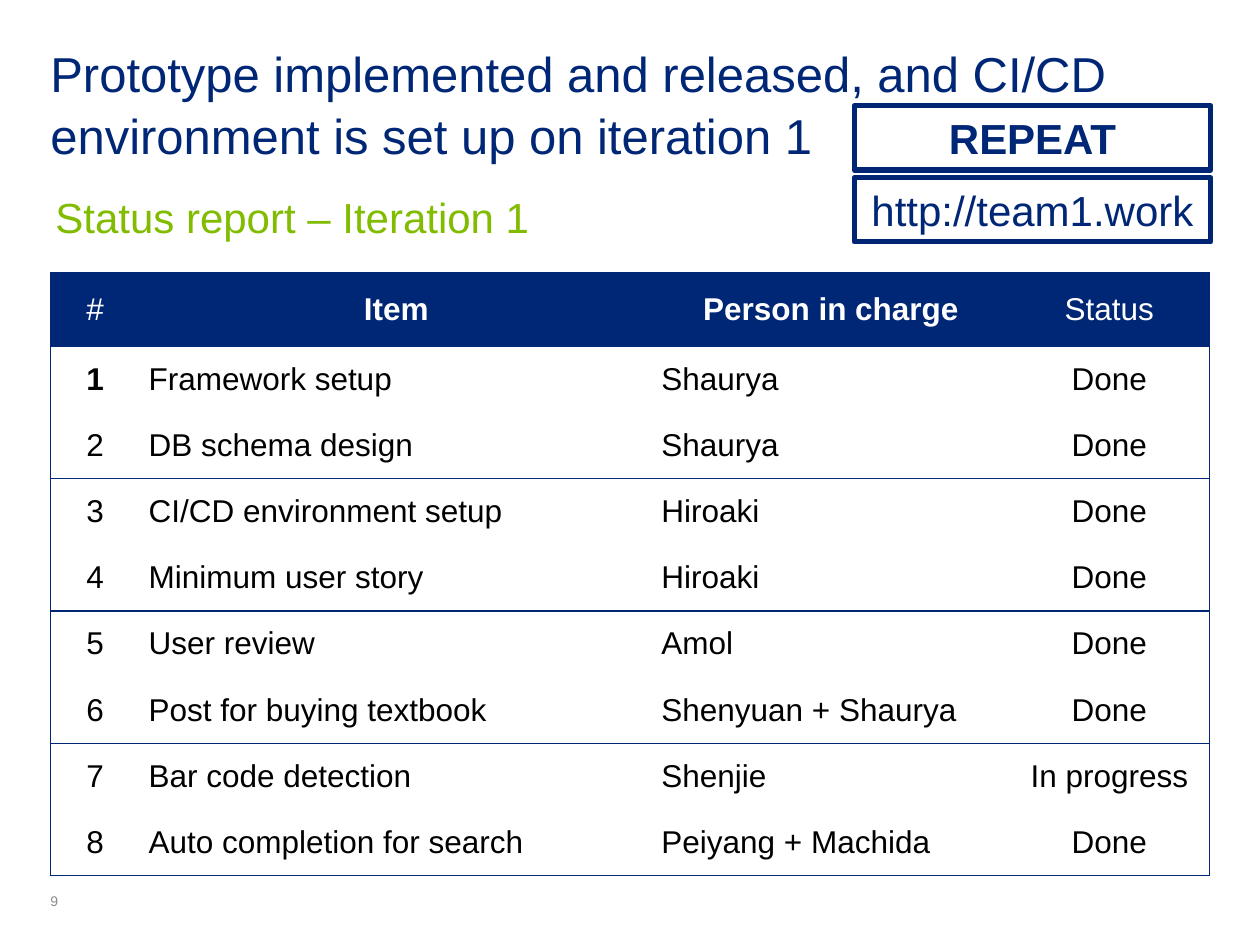
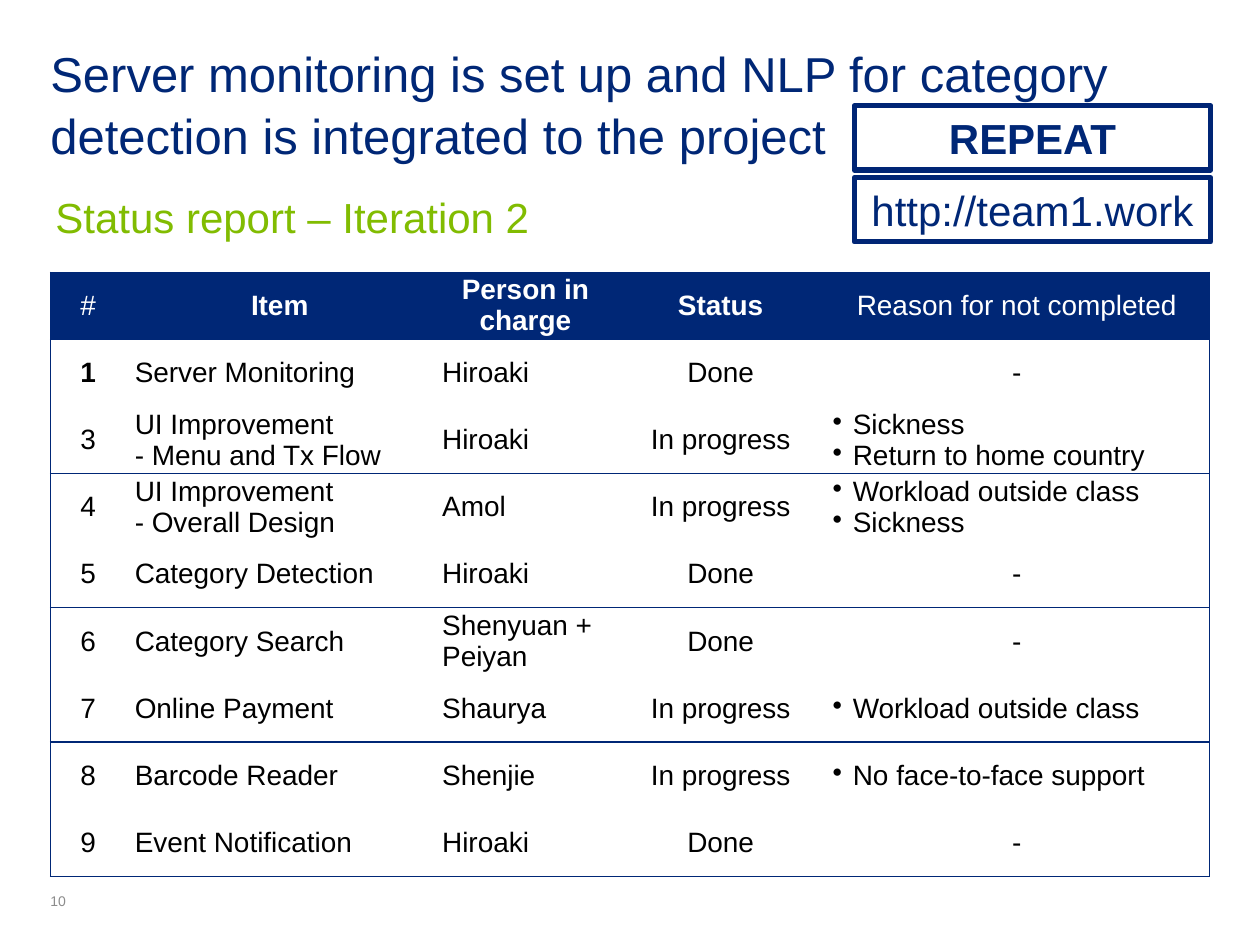
"""Build two iteration status report slides, each with a bordered task table."""
from lxml.etree import SubElement
from pptx import Presentation
from pptx.dml.color import RGBColor
from pptx.enum.shapes import MSO_SHAPE as SHAPE
from pptx.enum.text import MSO_ANCHOR as ANCHOR, PP_ALIGN as ALIGN
from pptx.oxml.ns import qn
from pptx.util import Inches, Pt

NAVY = RGBColor(0x00, 0x27, 0x76)
FRAME = RGBColor(0x00, 0x25, 0x75)
GREEN = RGBColor(0x81, 0xBC, 0x01)
GREY = RGBColor(0x8C, 0x8C, 0x8C)
WHITE = RGBColor(0xFF, 0xFF, 0xFF)
BLACK = RGBColor(0x00, 0x00, 0x00)
NO_GRID_STYLE = "{2D5ABB26-0587-4C30-8999-92F81FD0307C}"
LEFT, TABLE_TOP, WIDTH = 0.4, 2.16, 9.2
CENTRED = {"#", "Status", "Reason for not completed"}

REPORTS = [
    {
        "number": "9",
        "title": "Prototype implemented and released, and CI/CD environment is set up on iteration 1",
        "subtitle": "Status report – Iteration 1",
        "size": 18,
        "columns": [0.71, 4.07, 2.83, 1.59],
        "heights": [0.59] + [0.525] * 8,
        "rows": [
            ("#", "Item", "Person in charge", "Status"),
            ("1", "Framework setup", "Shaurya", "Done"),
            ("2", "DB schema design", "Shaurya", "Done"),
            ("3", "CI/CD environment setup", "Hiroaki", "Done"),
            ("4", "Minimum user story", "Hiroaki", "Done"),
            ("5", "User review", "Amol", "Done"),
            ("6", "Post for buying textbook", "Shenyuan + Shaurya", "Done"),
            ("7", "Bar code detection", "Shenjie", "In progress"),
            ("8", "Auto completion for search", "Peiyang + Machida", "Done"),
        ],
    },
    {
        "number": "10",
        "title": "Server monitoring is set up and NLP for category detection is integrated to the project",
        "subtitle": "Status report – Iteration 2",
        "size": 16,
        "columns": [0.6, 2.44, 1.46, 1.64, 3.06],
        "heights": [4.79 / 9] * 9,
        "rows": [
            ("#", "Item", "Person in charge", "Status", "Reason for not completed"),
            ("1", "Server Monitoring", "Hiroaki", "Done", "-"),
            ("3", "UI Improvement\n- Menu and Tx Flow", "Hiroaki", "In progress",
             "Sickness\nReturn to home country"),
            ("4", "UI Improvement\n- Overall Design", "Amol", "In progress",
             "Workload outside class\nSickness"),
            ("5", "Category Detection", "Hiroaki", "Done", "-"),
            ("6", "Category Search", "Shenyuan + Peiyan", "Done", "-"),
            ("7", "Online Payment", "Shaurya", "In progress", "Workload outside class"),
            ("8", "Barcode Reader", "Shenjie", "In progress", "No face-to-face support"),
            ("9", "Event Notification", "Hiroaki", "Done", "-"),
        ],
    },
]


def write(frame, text, size, color, bold=False, align=ALIGN.LEFT, anchor=ANCHOR.TOP):
    """Fill a text frame with evenly formatted paragraphs and no margins."""
    frame.text = text
    frame.word_wrap = True
    frame.vertical_anchor = anchor
    frame.margin_left = frame.margin_right = frame.margin_top = frame.margin_bottom = 0
    for para in frame.paragraphs:
        para.alignment = align
        para.font.name, para.font.size, para.font.bold = "Arial", Pt(size), bold
        para.font.color.rgb = color


def add_borders(cell, sides):
    """Draw thin navy lines on the given sides of a table cell."""
    properties = cell._tc.get_or_add_tcPr()
    for position, side in enumerate(sides):
        line = SubElement(properties, qn(f"a:ln{side}"), w=str(Pt(0.75)))
        fill = SubElement(line, qn("a:solidFill"))
        SubElement(fill, qn("a:srgbClr"), val=str(NAVY))
        properties.insert(position, line)


deck = Presentation()
deck.slide_width, deck.slide_height = Inches(10), Inches(7.5)

for report in REPORTS:
    page = deck.slides.add_slide(deck.slide_layouts[5])

    title = page.shapes.title
    title.left, title.top = Inches(LEFT), Inches(0.32)
    title.width, title.height = Inches(WIDTH), Inches(0.51)
    write(title.text_frame, report["title"], 28, NAVY)
    title.text_frame.paragraphs[0].line_spacing = 1.05

    subtitle = page.shapes.add_textbox(Inches(0.44), Inches(1.5), Inches(9), Inches(0.35))
    write(subtitle.text_frame, report["subtitle"], 24, GREEN)
    subtitle.text_frame.paragraphs[0].line_spacing = 1.05

    number = page.shapes.add_textbox(Inches(LEFT), Inches(7.09), Inches(0.5), Inches(0.13))
    write(number.text_frame, report["number"], 8, GREY, anchor=ANCHOR.BOTTOM)

    for text, top, bold in (("http://team1.work", 1.41, False), ("REPEAT", 0.84, True)):
        box = page.shapes.add_shape(SHAPE.RECTANGLE, Inches(6.78), Inches(top),
                                    Inches(2.83), Inches(0.51))
        box.shadow.inherit = False
        box.fill.background()
        box.line.color.rgb, box.line.width = FRAME, Pt(3)
        write(box.text_frame, text, 24, NAVY, bold, ALIGN.CENTER, ANCHOR.MIDDLE)

    rows, widths, heights = report["rows"], report["columns"], report["heights"]
    graphic = page.shapes.add_table(len(rows), len(widths), Inches(LEFT), Inches(TABLE_TOP),
                                    Inches(WIDTH), Inches(sum(heights)))
    table = graphic.table
    table.horz_banding = False
    table._tbl.tblPr.find(qn("a:tableStyleId")).text = NO_GRID_STYLE
    for column, width in zip(table.columns, widths):
        column.width = Inches(width)

    last = len(widths) - 1
    for r, values in enumerate(rows):
        table.rows[r].height = Inches(heights[r])
        for c, text in enumerate(values):
            cell = table.cell(r, c)
            header = r == 0
            bold = 0 < c < last if header else (r, c) == (1, 0)
            bulleted = not header and rows[0][c].startswith("Reason") and text != "-"
            centred = header or rows[0][c] in CENTRED and not bulleted
            write(cell.text_frame, text, report["size"], WHITE if header else BLACK, bold,
                  ALIGN.CENTER if centred else ALIGN.LEFT)
            cell.vertical_anchor = ANCHOR.MIDDLE
            cell.margin_left = cell.margin_right = Inches(0.07)
            cell.margin_top = cell.margin_bottom = 0
            if bulleted:
                for para in cell.text_frame.paragraphs:
                    properties = para._p.get_or_add_pPr()
                    properties.set("marL", str(Inches(0.16)))
                    properties.set("indent", str(-Inches(0.16)))
                    bullet = SubElement(properties, qn("a:buChar"), char="•")
                    properties.insert(0, bullet)
            if header:
                cell.fill.solid()
                cell.fill.fore_color.rgb = NAVY
            else:
                cell.fill.background()
            edges = {"L": c == 0, "R": c == last, "T": header, "B": r % 2 == 0}
            add_borders(cell, [side for side, drawn in edges.items() if drawn])

deck.save("out.pptx")
